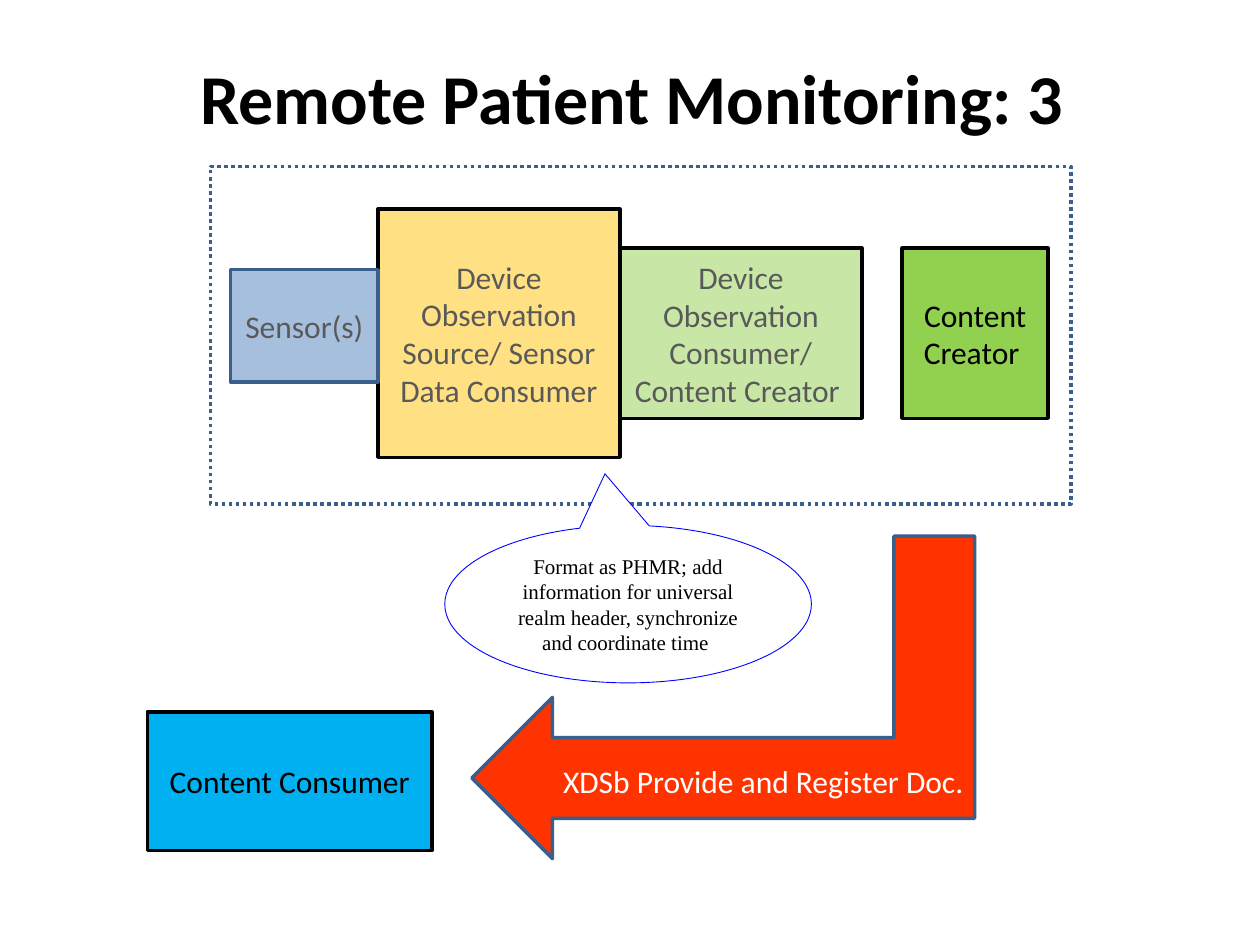
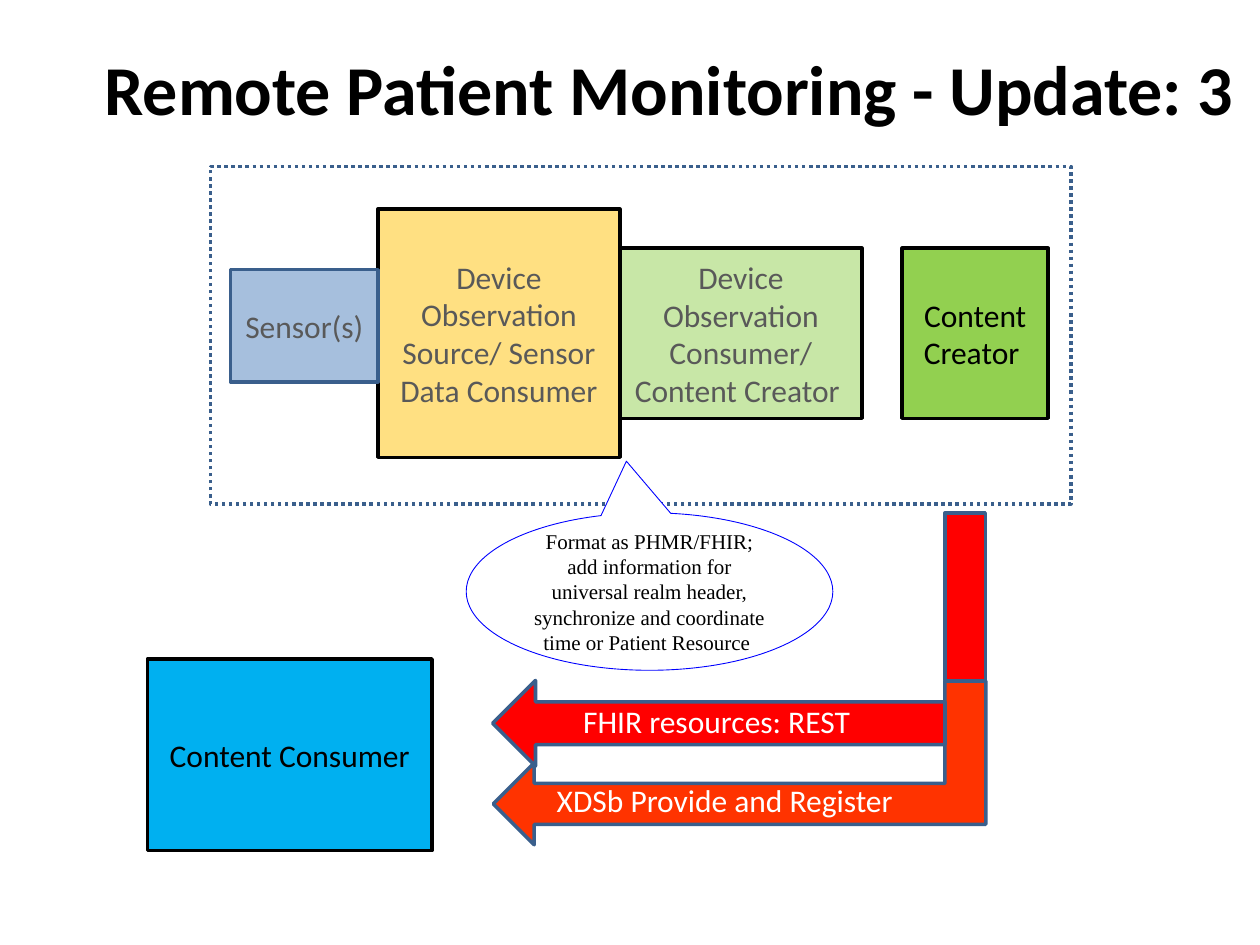
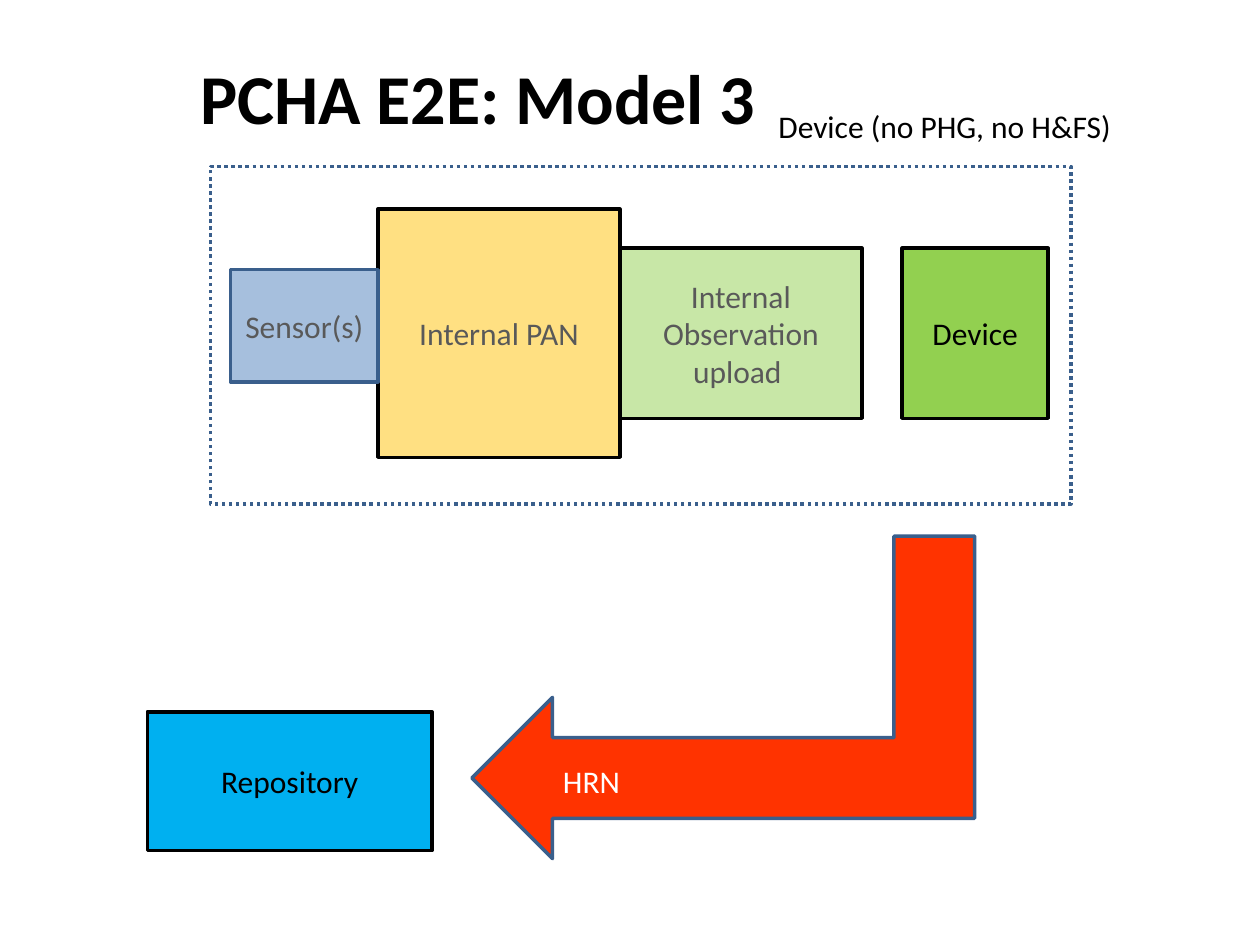
from dataclasses import dataclass
from typing import Optional

from pptx import Presentation
from pptx.dml.color import RGBColor
from pptx.enum.dml import MSO_LINE
from pptx.enum.shapes import MSO_SHAPE as Geo
from pptx.enum.text import MSO_ANCHOR as Anchor, MSO_AUTO_SIZE as AutoSize, PP_ALIGN as Align
from pptx.oxml.xmlchemy import OxmlElement
from pptx.util import Pt

PX = 9144
TITLE_ONLY = 5
COLORS = {
    "black": "000000", "white": "FFFFFF", "gray": "595959", "navy": "3A5F8C",
    "amber": "FFC000", "steel": "4F81BD", "green": "92D050", "sky": "00B0F0",
    "orange": "FF3300", "red": "FF0000", "blue": "0000FF",
}


@dataclass(frozen=True)
class Place:
    left: int
    top: int
    width: int
    height: int

    def emu(self) -> tuple[int, ...]:
        return tuple(n * PX for n in (self.left, self.top, self.width, self.height))


@dataclass(frozen=True)
class TextStyle:
    color: str
    size: int = 18
    font: str = "Calibri"
    bold: bool = False
    align: Align = Align.CENTER


TITLE = TextStyle("black", 40, bold=True, align=Align.LEFT)
MUTED = TextStyle("gray")
STRONG = TextStyle("black")
CAPTION = TextStyle("black", align=Align.LEFT)
ARROW_LABEL = TextStyle("white", align=Align.LEFT)
REMARK = TextStyle("black", 12, "Times New Roman")


@dataclass(frozen=True)
class Block:
    place: Place
    fill: Optional[str] = None
    line: str = "black"
    opacity: int = 100
    paragraphs: tuple[str, ...] = ()
    style: TextStyle = STRONG
    geometry: Geo = Geo.RECTANGLE
    line_width: float = 2
    dotted: bool = False
    rotation: int = 0
    flip: bool = False
    adjustments: tuple[float, ...] = ()


@dataclass(frozen=True)
class Label:
    place: Place
    text: str
    style: TextStyle
    wrap: bool = False


@dataclass(frozen=True)
class Model:
    title: Label
    source: str
    uploader: tuple[str, ...]
    creator: str
    receiver: str
    receiver_place: Place
    transport: tuple[Block | Label, ...]


def rgb(name: str) -> RGBColor:
    return RGBColor.from_string(COLORS[name])


def write(frame, paragraphs: tuple[str, ...], style: TextStyle) -> None:
    for index, text in enumerate(paragraphs):
        paragraph = frame.add_paragraph() if index else frame.paragraphs[0]
        paragraph.alignment = style.align
        run = paragraph.add_run()
        run.text = text
        run.font.name = style.font
        run.font.size = Pt(style.size)
        run.font.bold = style.bold
        run.font.color.rgb = rgb(style.color)


def fill_label(shape, label: Label) -> None:
    frame = shape.text_frame
    frame.word_wrap = label.wrap
    frame.auto_size = AutoSize.SHAPE_TO_FIT_TEXT
    frame.vertical_anchor = Anchor.TOP
    write(frame, (label.text,), label.style)


def draw_title(slide, label: Label) -> None:
    title = slide.shapes.title
    title.left, title.top, title.width, title.height = label.place.emu()
    fill_label(title, label)


def draw_block(slide, block: Block) -> None:
    shape = slide.shapes.add_shape(block.geometry, *block.place.emu())
    shape.shadow.inherit = False
    shape.rotation = block.rotation
    if block.flip:
        shape._element.spPr.xfrm.set("flipV", "1")
    for index, value in enumerate(block.adjustments):
        shape.adjustments[index] = value
    if block.fill:
        shape.fill.solid()
        shape.fill.fore_color.rgb = rgb(block.fill)
        if block.opacity < 100:
            alpha = OxmlElement("a:alpha")
            alpha.set("val", str(block.opacity * 1000))
            shape._element.spPr.find(".//{*}solidFill/{*}srgbClr").append(alpha)
    else:
        shape.fill.background()
    shape.line.color.rgb = rgb(block.line)
    shape.line.width = Pt(block.line_width)
    if block.dotted:
        shape.line.dash_style = MSO_LINE.ROUND_DOT
    shape.text_frame.word_wrap = True
    shape.text_frame.vertical_anchor = Anchor.MIDDLE
    write(shape.text_frame, block.paragraphs, block.style)


def draw(slide, part: Block | Label) -> None:
    if isinstance(part, Block):
        draw_block(slide, part)
    else:
        fill_label(slide.shapes.add_textbox(*part.place.emu()), part)


def bent_arrow(place: Place) -> Block:
    return Block(place, "orange", "navy", geometry=Geo.BENT_UP_ARROW, rotation=90, flip=True)


def remark(left: int, top: int, text: str) -> Block:
    return Block(Place(left, top, 291, 125), "white", "blue", paragraphs=(text,), style=REMARK,
                 geometry=Geo.OVAL_CALLOUT, line_width=0.5, adjustments=(-0.063, -0.828))


def draw_model(deck, model: Model) -> None:
    slide = deck.slides.add_slide(deck.slide_layouts[TITLE_ONLY])
    draw_title(slide, model.title)
    parts = (
        Block(Place(300, 166, 192, 197), "amber", "black", 49, (model.source,), MUTED),
        Block(Place(183, 214, 117, 89), "steel", "navy", 50, ("Sensor(s)",), MUTED),
        Block(Place(492, 197, 192, 135), "green", "black", 50, model.uploader, MUTED),
        Block(model.receiver_place, "sky", paragraphs=(model.receiver,)),
        Block(Place(167, 132, 683, 268), line="navy", dotted=True),
        Block(Place(716, 197, 116, 135), "green", paragraphs=(model.creator,)),
    )
    for part in parts + model.transport:
        draw(slide, part)


SOURCE = "Device Observation Source/ Sensor Data Consumer"
UPLOADER = ("Device Observation Consumer/", "Content Creator ")
CREATOR = "Content Creator "
RECEIVER = "Content Consumer"
LOW_RECEIVER = Place(117, 565, 226, 110)
WIDE_ARROW = bent_arrow(Place(446, 354, 256, 399))

MODELS = (
    Model(
        Label(Place(149, 38, 713, 77), "Remote Patient Monitoring: 3", TITLE),
        SOURCE, UPLOADER, CREATOR, RECEIVER, LOW_RECEIVER,
        (
            WIDE_ARROW,
            Label(Place(437, 600, 342, 40), "XDSb Provide and Register Doc.", ARROW_LABEL),
            remark(353, 417, "Format as PHMR; add information for universal realm header, "
                             "synchronize and coordinate time "),
        ),
    ),
    Model(
        Label(Place(73, 31, 927, 77), "Remote Patient Monitoring - Update: 3", TITLE),
        SOURCE, UPLOADER, CREATOR, RECEIVER, Place(117, 523, 226, 152),
        (
            remark(370, 407, "Format as PHMR/FHIR; add information for universal realm header, "
                             "synchronize and coordinate time or Patient Resource "),
            bent_arrow(Place(522, 410, 130, 391)),
            Label(Place(432, 615, 355, 40), "XDSb Provide and Register", ARROW_LABEL, True),
            Block(Place(391, 540, 359, 68), "red", "navy", geometry=Geo.RIGHT_ARROW, rotation=180),
            Label(Place(453, 552, 281, 40), "FHIR resources: REST", ARROW_LABEL, True),
            Block(Place(750, 407, 32, 133), "red", "navy"),
        ),
    ),
    Model(
        Label(Place(149, 38, 481, 77), "PCHA E2E: Model 3", TITLE),
        "Internal PAN", ("Internal Observation upload ",), "Device", "Repository", LOW_RECEIVER,
        (
            WIDE_ARROW,
            Label(Place(437, 600, 66, 40), "HRN", ARROW_LABEL),
            Label(Place(608, 80, 287, 40), "Device (no PHG, no H&FS)", CAPTION),
        ),
    ),
)


def main() -> None:
    deck = Presentation()
    deck.slide_width, deck.slide_height = 1000 * PX, 750 * PX
    for model in MODELS:
        draw_model(deck, model)
    deck.save("out.pptx")


if __name__ == "__main__":
    main()
